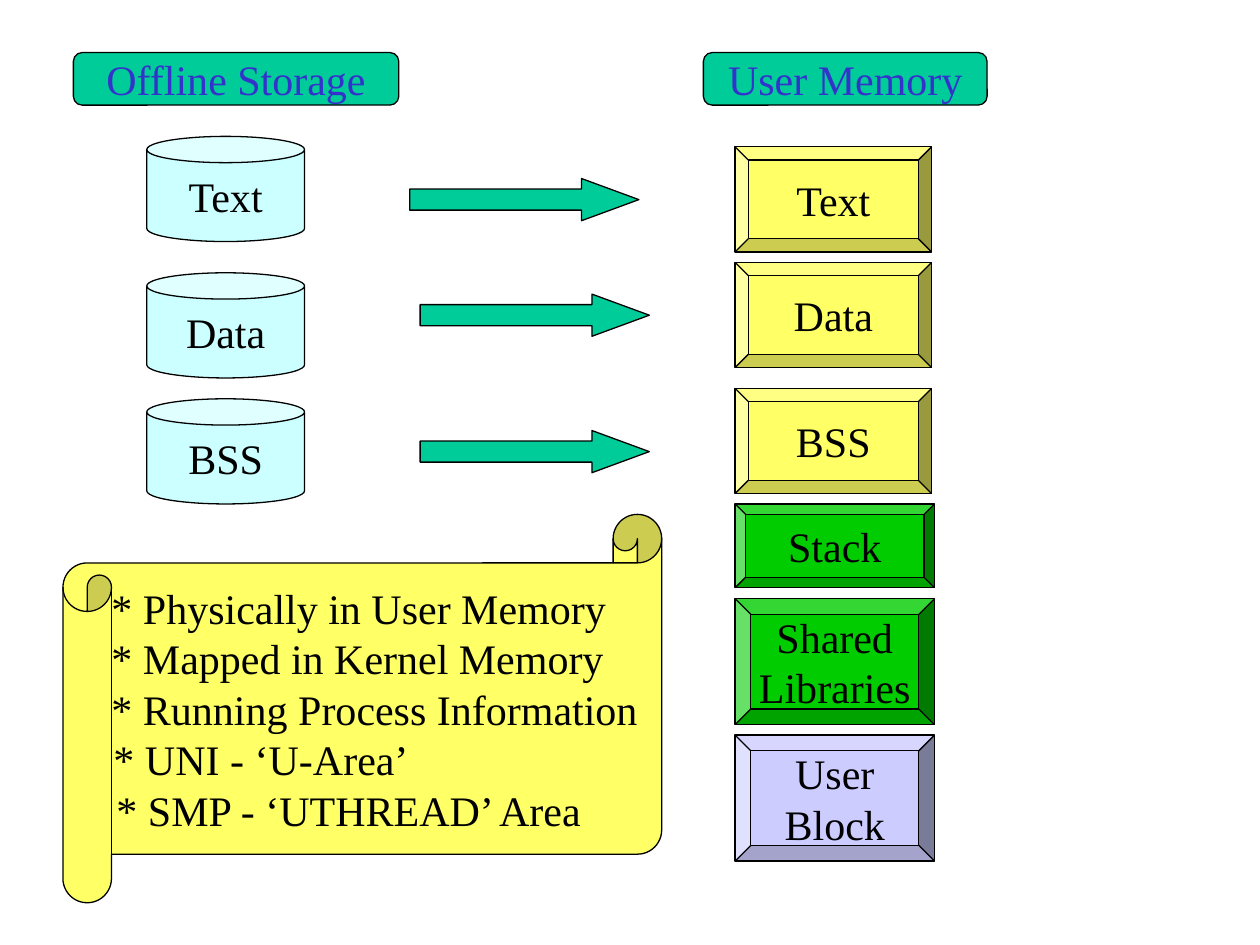
import dataclasses

import pptx
import pptx.dml.color
import pptx.enum.shapes
import pptx.enum.text
import pptx.util

Cm = pptx.util.Cm
Kind = pptx.enum.shapes.MSO_SHAPE
Align = pptx.enum.text.PP_ALIGN


@dataclasses.dataclass(frozen=True)
class Theme:
    """Colours, typeface and sizes of the slide."""

    ink: str = "000000"
    heading_ink: str = "3333CC"
    accent: str = "00CC99"
    disk: str = "CCFFFF"
    loaded: str = "FFFF66"
    runtime: str = "00CC00"
    user_block: str = "CCCCFF"
    typeface: str = "Times New Roman"
    text_size: float = 24
    outline: float = 0.75


THEME = Theme()


def rgb(value):
    """Turn a hex string into a colour."""
    return pptx.dml.color.RGBColor.from_string(value)


def add_panel(slide, kind, bounds, fill, adjustments=()):
    """Add an outlined shape; bounds are left, top, width, height in cm."""
    panel = slide.shapes.add_shape(kind, *(Cm(length) for length in bounds))
    panel.shadow.inherit = False
    panel.fill.solid()
    panel.fill.fore_color.rgb = rgb(fill)
    panel.line.color.rgb = rgb(THEME.ink)
    panel.line.width = pptx.util.Pt(THEME.outline)
    for index, value in enumerate(adjustments):
        panel.adjustments[index] = value
    return panel


def write(panel, wording, color=THEME.ink, align=Align.CENTER):
    """Fill a panel with unwrapped, vertically centred text."""
    frame = panel.text_frame
    frame.word_wrap = False
    frame.vertical_anchor = pptx.enum.text.MSO_ANCHOR.MIDDLE
    frame.text = wording
    for paragraph in frame.paragraphs:
        paragraph.alignment = align
        for run in paragraph.runs:
            run.font.name = THEME.typeface
            run.font.size = pptx.util.Pt(THEME.text_size)
            run.font.color.rgb = rgb(color)


def add_heading(slide, wording, left, width):
    """Add a rounded column heading."""
    heading = add_panel(slide, Kind.ROUNDED_RECTANGLE, (left, 1.06, width, 1.06),
                        THEME.accent, [0.167])
    write(heading, wording, THEME.heading_ink)


def add_disk(slide, wording, top):
    """Add a storage cylinder."""
    write(add_panel(slide, Kind.CAN, (2.96, top, 3.18, 2.12), THEME.disk, [0.25]), wording)


def add_load_arrow(slide, left, top):
    """Add an arrow from storage to memory."""
    add_panel(slide, Kind.RIGHT_ARROW, (left, top, 4.62, 0.85), THEME.accent, [0.5, 1.36])


def add_memory_block(slide, wording, top, width, height, fill):
    """Add a bevelled block to the memory column."""
    block = add_panel(slide, Kind.BEVEL, (14.82, top, width, height), fill, [0.125])
    write(block, wording)


def add_notes_scroll(slide, notes):
    """Add the scroll of notes, each given with its left indent in cm."""
    scroll = add_panel(slide, Kind.HORIZONTAL_SCROLL, (1.27, 10.37, 12.07, 7.83),
                       THEME.loaded, [0.125])
    write(scroll, "\n".join(note for note, _ in notes), align=Align.LEFT)
    scroll.text_frame.margin_left = scroll.text_frame.margin_right = 0
    for paragraph, (_, indent) in zip(scroll.text_frame.paragraphs, notes):
        paragraph._p.get_or_add_pPr().set("marL", str(Cm(indent)))


def main():
    """Build and save the process memory slide."""
    deck = pptx.Presentation()
    deck.slide_width, deck.slide_height = Cm(25.4), Cm(19.05)
    slide = deck.slides.add_slide(deck.slide_layouts[6])

    add_heading(slide, "Offline Storage", 1.48, 6.56)
    add_heading(slide, "User Memory", 14.18, 5.72)

    for section, disk_top, block_top, arrow_left, arrow_top in (
        ("Text", 2.75, 2.96, 8.26, 3.6),
        ("Data", 5.5, 5.29, 8.47, 5.93),
        ("BSS", 8.04, 7.83, 8.47, 8.68),
    ):
        add_disk(slide, section, disk_top)
        add_load_arrow(slide, arrow_left, arrow_top)
        add_memory_block(slide, section, block_top, 3.96, 2.12, THEME.loaded)

    for region, top, height, fill in (
        ("Stack", 10.16, 1.69, THEME.runtime),
        ("Shared\nLibraries", 12.07, 2.54, THEME.runtime),
        ("User\nBlock", 14.82, 2.54, THEME.user_block),
    ):
        add_memory_block(slide, region, top, 4.02, height, fill)

    add_notes_scroll(slide, (
        ("* Physically in User Memory", 0),
        ("* Mapped in Kernel Memory", 0),
        ("* Running Process Information", 0),
        ("* UNI - ‘U-Area’", 0.04),
        ("* SMP - ‘UTHREAD’ Area", 0.1),
    ))
    deck.save("out.pptx")


if __name__ == "__main__":
    main()
